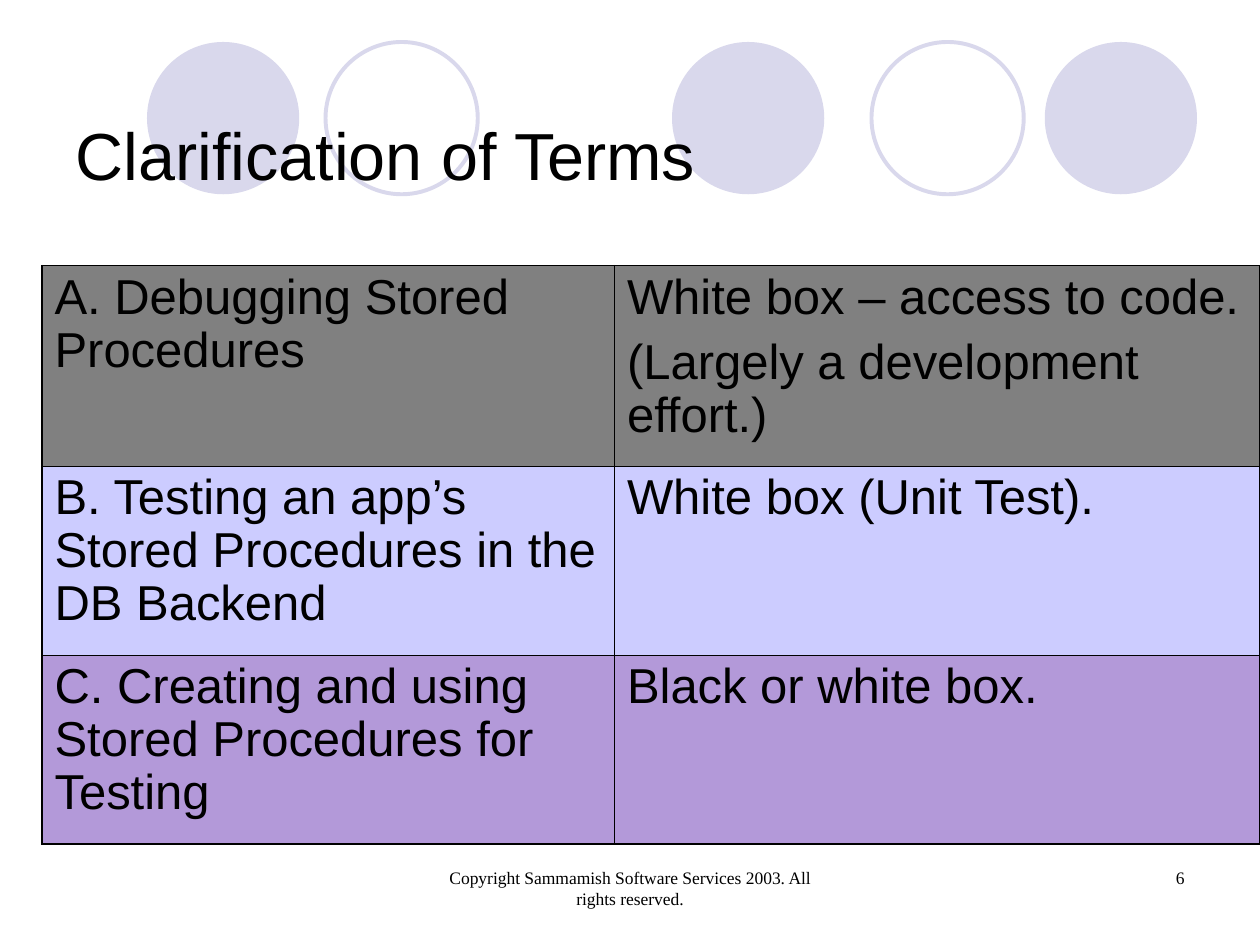
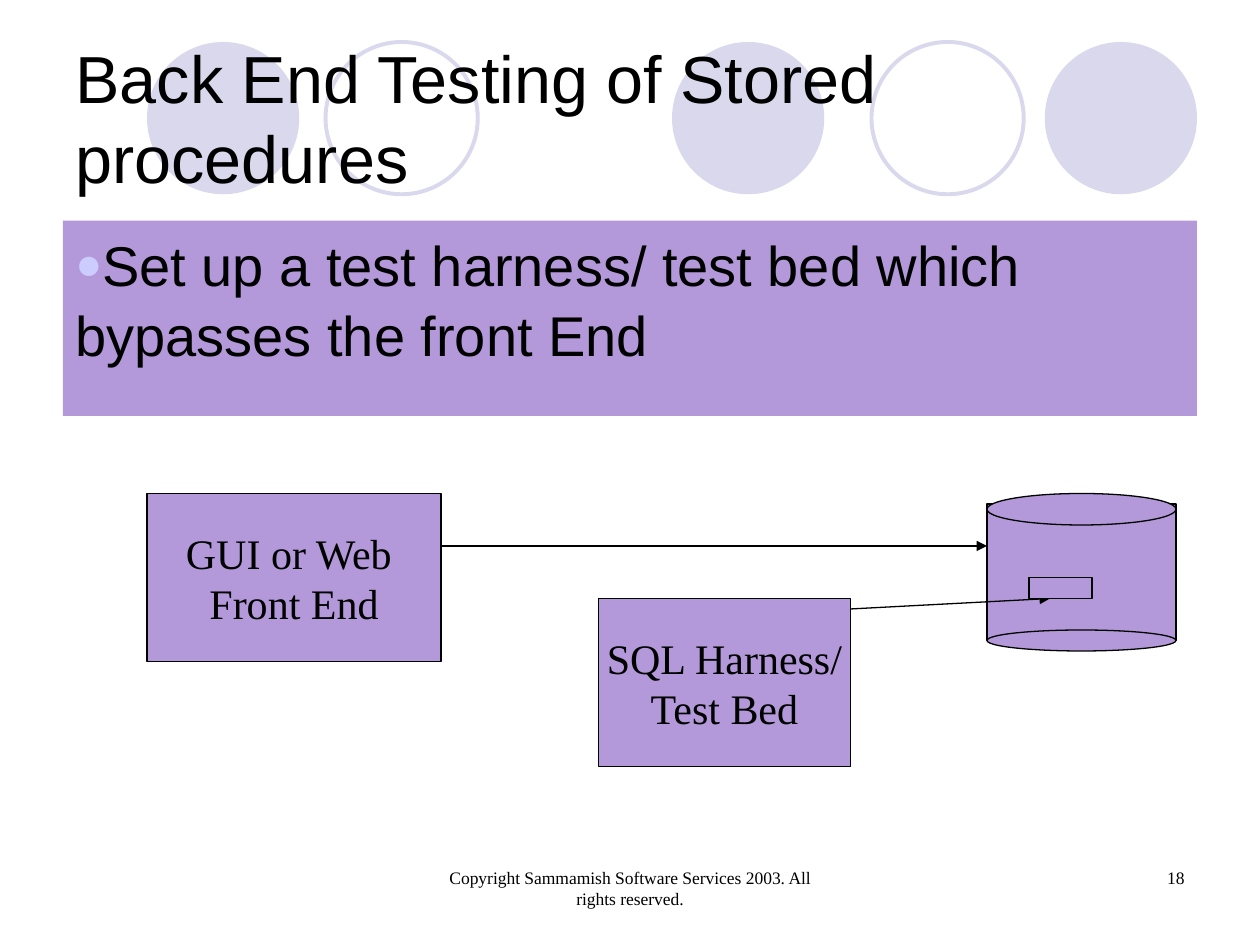
from lxml.etree import SubElement
from pptx import Presentation
from pptx.dml.color import RGBColor
from pptx.enum.shapes import MSO_CONNECTOR, MSO_SHAPE
from pptx.enum.text import MSO_ANCHOR, MSO_AUTO_SIZE, PP_ALIGN
from pptx.oxml.ns import qn
from pptx.util import Inches, Pt

COLS, ROWS = 120, 90
WIDE, HIGH = Inches(10), Inches(7.5)
INK = {"text": "000000", "ring": "D9D8EC", "gray": "808080",
       "pale": "CCCCFF", "plum": "B399D9"}
SANS, SERIF = "Arial", "Times New Roman"
TITLE = {"name": SANS, "size": Pt(38)}
BODY = {"name": SANS, "size": Pt(32)}
CELL = {"name": SANS, "size": Pt(28)}
LABEL = {"name": SERIF, "size": Pt(24)}
SMALL = {"name": SERIF, "size": Pt(10)}
RIGHTS = "Copyright Sammamish Software Services 2003. All rights reserved."
TERMS = [
    ("gray", ["A. Debugging Stored Procedures"],
     ["White box – access to code.", "(Largely a development effort.)"]),
    ("pale", ["B. Testing an app’s Stored Procedures in the DB Backend"],
     ["White box (Unit Test)."]),
    ("plum", ["C. Creating and using Stored Procedures for Testing"],
     ["Black or white box."]),
]


def tint(name):
    """Return a palette colour."""
    return RGBColor.from_string(INK[name])


def put(item, vals):
    """Set each attribute named in a dict."""
    for key, val in vals.items():
        setattr(item, key, val)


def span(cols, rows):
    """Turn grid columns and rows into lengths."""
    return round(WIDE * cols / COLS), round(HIGH * rows / ROWS)


def place(box):
    """Turn a grid box into left, top, width and height."""
    return *span(*box[:2]), *span(*box[2:])


def inset(box, part):
    """Shift a part from its region's corner to the slide."""
    return (box[0] + part[0], box[1] + part[1], *part[2:])


def write(frame, lines, font, align=PP_ALIGN.LEFT, gap=0, **vals):
    """Fill a text frame with formatted paragraphs."""
    put(frame, {"word_wrap": True, "auto_size": MSO_AUTO_SIZE.NONE, **vals})
    for num, line in enumerate(lines):
        para = frame.add_paragraph() if num else frame.paragraphs[0]
        para.alignment = align
        if num and gap:
            para.space_before = Pt(gap)
        run = para.add_run()
        run.text = line
        put(run.font, font)
        run.font.color.rgb = tint("text")


def draw(slide, kind, box, fill="plum", line="text", width=0.75):
    """Add a preset shape with a plain fill and outline."""
    shape = slide.shapes.add_shape(kind, *place(box))
    shape.shadow.inherit = False
    if fill:
        shape.fill.solid()
        shape.fill.fore_color.rgb = tint(fill)
    else:
        shape.fill.background()
    if line:
        shape.line.color.rgb = tint(line)
        shape.line.width = Pt(width)
    else:
        shape.line.fill.background()
    return shape


def arrow(slide, start, end):
    """Add a straight line with a triangle at its end."""
    link = slide.shapes.add_connector(
        MSO_CONNECTOR.STRAIGHT, *span(*start), *span(*end))
    link.line.color.rgb = tint("text")
    link.line.width = Pt(0.75)
    SubElement(link.line._get_or_add_ln(), qn("a:tailEnd"), type="triangle")
    SubElement(link.element.spPr, qn("a:effectLst"))


def band(slide, box):
    """Draw the row of discs and rings."""
    side = box[3]
    for left, full in ((0, True), (17, False), (50, True),
                       (69, False), (85.5, True)):
        draw(slide, MSO_SHAPE.OVAL, inset(box, (left, 0, side, side)),
             "ring" if full else None, None if full else "ring", 2.25)


def foot(slide, box, page):
    """Write the copyright line and the page number."""
    for part, text, align in (((0, 0, 38, 6), RIGHTS, PP_ALIGN.CENTER),
                              ((45, 0, 28, 6), page, PP_ALIGN.RIGHT)):
        note = slide.shapes.add_textbox(*place(inset(box, part)))
        write(note.text_frame, [text], SMALL, align)


def start(deck, text, box, page):
    """Add a slide with the shared band, title and footer."""
    slide = deck.slides.add_slide(deck.slide_layouts[5])
    band(slide, (14, 4, 100, 14.5))
    title = slide.shapes.title
    put(title, dict(zip(("left", "top", "width", "height"), place(box))))
    write(title.text_frame, [text], TITLE,
          vertical_anchor=MSO_ANCHOR.MIDDLE)
    slide.shapes.element.append(title.element)
    foot(slide, (41, 82, 73, 6), page)
    return slide


def edge(cell, side, width):
    """Draw one border of a table cell."""
    line = SubElement(cell._tc.get_or_add_tcPr(), qn(f"a:{side}"),
                      w=str(Pt(width)))
    fill = SubElement(line, qn("a:solidFill"))
    SubElement(fill, qn("a:srgbClr"), val=INK["text"])


def terms(slide, box):
    """Build the table of terms."""
    last = len(TERMS) - 1
    grid = slide.shapes.add_table(len(TERMS), 2, *place(box)).table
    put(grid, {"first_row": False, "horz_banding": False})
    for col, share in zip(grid.columns, (0.47, 0.53)):
        col.width = span(box[2] * share, 0)[0]
    for num, (fill, *texts) in enumerate(TERMS):
        grid.rows[num].height = span(0, 18 if num else box[3] - 36)[1]
        for col, lines in enumerate(texts):
            cell = grid.cell(num, col)
            write(cell.text_frame, lines, CELL, gap=7)
            for para in cell.text_frame.paragraphs:
                para.line_spacing = 0.97
            for side, outer in (("lnL", col == 0), ("lnR", col == 1),
                                ("lnT", num == 0), ("lnB", num == last)):
                edge(cell, side, 1.08 if outer else 0.45)
            cell.fill.solid()
            cell.fill.fore_color.rgb = tint(fill)


def point(slide, box, text):
    """Write one bulleted statement on a plum panel."""
    panel = draw(slide, MSO_SHAPE.RECTANGLE, box, line=None)
    write(panel.text_frame, [text], BODY, vertical_anchor=MSO_ANCHOR.TOP)
    para = panel.text_frame.paragraphs[0]
    para.line_spacing = 1.05
    props = para._p.get_or_add_pPr()
    put(props, {"marL": Inches(0.38), "indent": -Inches(0.38)})
    hue = SubElement(props, qn("a:buClr"))
    SubElement(hue, qn("a:srgbClr"), val=INK["pale"])
    SubElement(props, qn("a:buSzPct"), val="80000")
    SubElement(props, qn("a:buFont"), typeface=SANS)
    SubElement(props, qn("a:buChar"), char="●")


def flow(slide, box):
    """Draw both clients, the database and the calls into it."""
    rect, oval = MSO_SHAPE.RECTANGLE, MSO_SHAPE.OVAL
    for part, lines in (((0, 0, 28, 16), ["GUI or Web ", "Front End"]),
                        ((43, 10, 24, 16), ["SQL Harness/", "Test Bed"])):
        node = draw(slide, rect, inset(box, part))
        write(node.text_frame, lines, LABEL, PP_ALIGN.CENTER,
              vertical_anchor=MSO_ANCHOR.MIDDLE, word_wrap=False)
    for kind, part in ((rect, (80, 1, 18, 13)), (oval, (80, 13, 18, 2)),
                       (oval, (80, 0, 18, 3))):
        draw(slide, kind, inset(box, part))
    arrow(slide, inset(box, (67, 11)), inset(box, (86, 10)))
    draw(slide, rect, inset(box, (84, 8, 6, 2)))
    arrow(slide, inset(box, (28, 5)), inset(box, (80, 5)))


def main():
    """Build and save the deck."""
    deck = Presentation()
    put(deck, {"slide_width": WIDE, "slide_height": HIGH})
    slide = start(deck, "Clarification of Terms", (6, 10.7, 108, 7.9), "6")
    terms(slide, (4, 25.3, 116, 55.1))
    slide = start(deck, "Back End Testing of Stored procedures",
                  (6, 3.6, 108, 15), "18")
    point(slide, (6, 21, 108, 18.6),
          "Set up a test harness/ test bed which bypasses the front End")
    flow(slide, (14, 47, 98, 26))
    deck.save("out.pptx")


if __name__ == "__main__":
    main()
